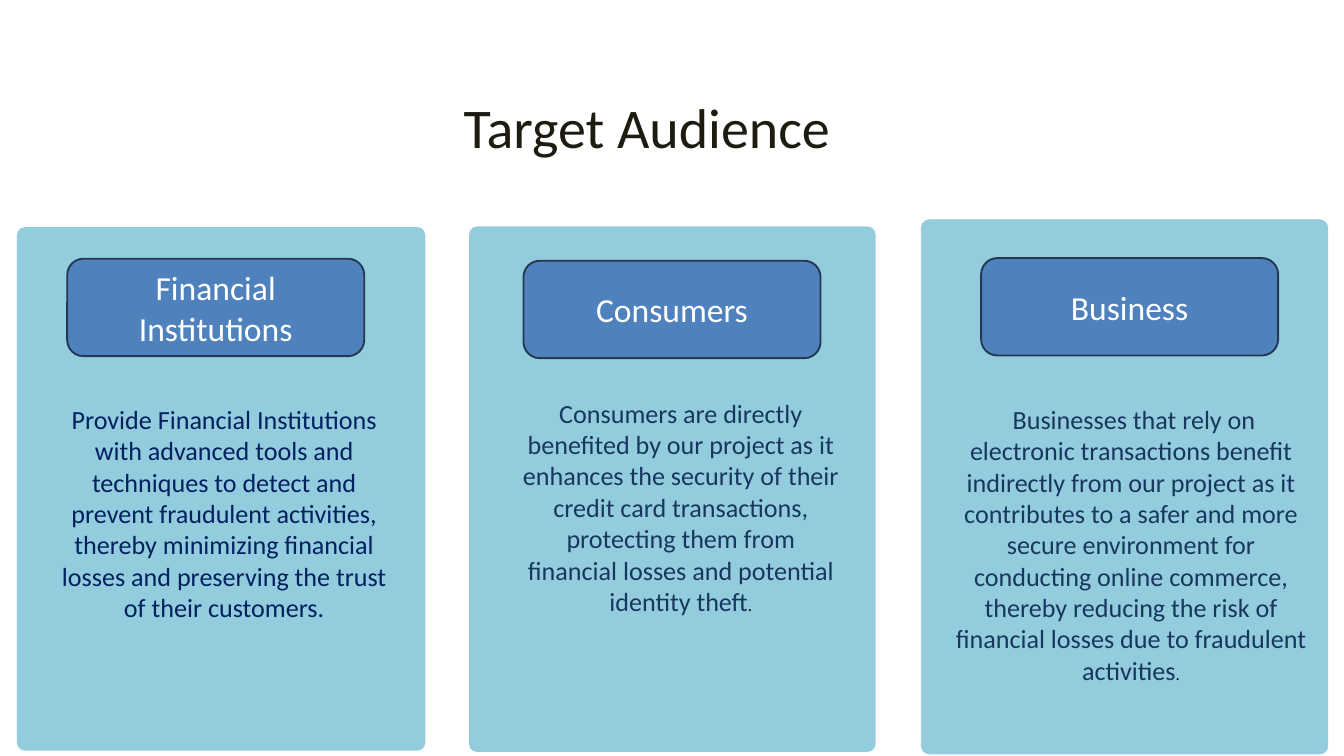
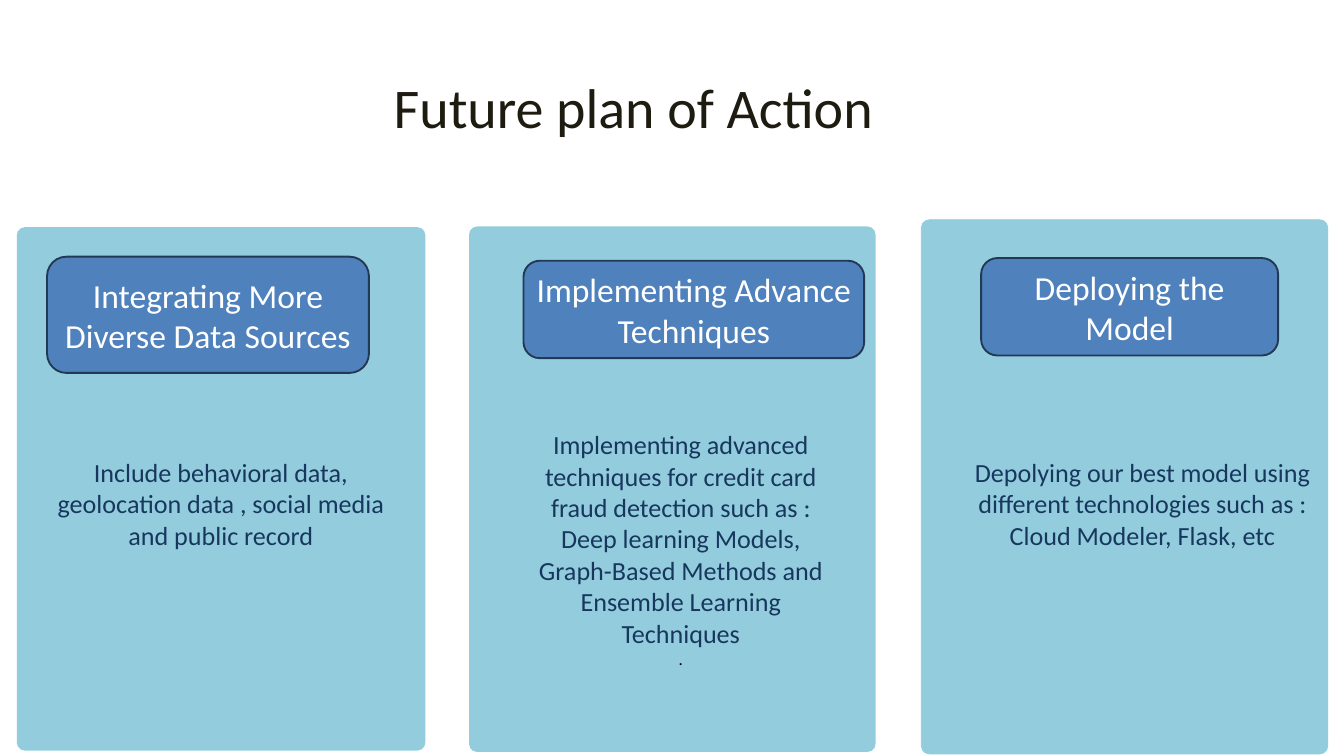
"""Build two three-column slides: target audience and future plan of action."""
from pptx import Presentation
from pptx.dml.color import RGBColor
from pptx.enum.shapes import MSO_SHAPE
from pptx.enum.text import MSO_ANCHOR, MSO_AUTO_SIZE, PP_ALIGN
from pptx.util import Inches, Pt

PANEL, LABEL, EDGE = "93CDDD", "4F81BD", "233953"
TITLE, NAVY, BLUE, WHITE, BLACK = "1E1C11", "002060", "17375E", "FFFFFF", "000000"
FONT = "Calibri"
LEFT, COL = 0.25, 6.73
PANELS = [(3.38, 6.08, 7.79), (3.37, 6.05, 7.82), (3.27, 6.05, 7.95)]


def paint(fmt, color):
    if hasattr(fmt, "solid"):
        fmt.solid()
        fmt = fmt.fore_color
    fmt.rgb = RGBColor.from_string(color)


def write(tf, text, size, color, anchor=MSO_ANCHOR.TOP):
    tf.word_wrap = True
    tf.auto_size = MSO_AUTO_SIZE.NONE
    tf.vertical_anchor = anchor
    for i, line in enumerate(text.split("\n")):
        p = tf.paragraphs[0] if i == 0 else tf.add_paragraph()
        p.alignment = PP_ALIGN.CENTER
        p.font.name, p.font.size = FONT, Pt(size)
        paint(p.font.color, color)
        main, _, stop = line.partition("|")
        if main:
            p.add_run().text = main
        if stop:
            r = p.add_run()
            r.text = stop
            r.font.size = Pt(18)
            paint(r.font.color, BLACK)


slides = [
    ("Target Audience", (3.5, 1.32), [
        ("Financial Institutions", (0.75, 3.85, 4.42, 1.45),
         "Provide Financial Institutions with advanced tools and techniques to detect "
         "and prevent fraudulent activities, thereby minimizing financial losses and "
         "preserving the trust of their customers.", (0.5, 5.95, 5.17, 3.4), NAVY),
        ("Consumers", (0.81, 3.88, 4.42, 1.45),
         "Consumers are directly benefited by our project as it enhances the security "
         "of their credit card transactions, protecting them from financial losses and "
         "potential identity theft|.", (0.69, 5.86, 4.92, 3.4), BLUE),
        ("Business", (0.89, 3.84, 4.42, 1.45),
         " Businesses that rely on electronic transactions benefit indirectly from our "
         "project as it contributes to a safer and more secure environment for "
         "conducting online commerce, thereby reducing the risk of financial losses "
         "due to fraudulent activities|.", (0.37, 5.95, 5.5, 4.34), BLUE),
    ]),
    ("Future plan of Action", (3.3, 1.03), [
        ("Integrating More Diverse Data Sources", (0.45, 3.82, 4.79, 1.73),
         "Include behavioral data, geolocation data , social media and public record",
         (0.45, 6.74, 5.17, 1.51), BLUE),
        ("Implementing Advance Techniques", (0.81, 3.88, 5.07, 1.45),
         "Implementing advanced techniques for credit card fraud detection such as : "
         "Deep learning Models, Graph-Based Methods and Ensemble Learning Techniques\n|.",
         (0.69, 6.33, 4.92, 3.7), BLUE),
        ("Deploying the Model", (0.89, 3.84, 4.42, 1.45),
         "Depolying our best model using different technologies such as : "
         "Cloud Modeler, Flask, etc", (0.54, 6.74, 5.5, 1.99), BLUE),
    ]),
]

prs = Presentation()
prs.slide_width, prs.slide_height = Inches(20), Inches(11.25)

for title, (x, y), columns in slides:
    s = prs.slides.add_slide(prs.slide_layouts[5])
    sp = s.shapes.title
    sp.left, sp.top, sp.width, sp.height = map(Inches, (x, y, 12.25, 1.11))
    write(sp.text_frame, title, 60, TITLE)

    for i, (top, width, height) in enumerate(PANELS):
        sp = s.shapes.add_shape(MSO_SHAPE.ROUNDED_RECTANGLE,
                                *map(Inches, (LEFT + i * COL, top, width, height)))
        sp.adjustments[0] = 0.02
        sp.shadow.inherit = False
        paint(sp.fill, PANEL)
        sp.line.fill.background()
    paint(sp.line.color, PANEL)
    sp.line.width = Pt(0.75)

    for i, (label, label_box, body, body_box, color) in enumerate(columns):
        left = LEFT + i * COL
        dx, *rest = label_box
        sp = s.shapes.add_shape(MSO_SHAPE.ROUNDED_RECTANGLE,
                                *map(Inches, (left + dx, *rest)))
        sp.shadow.inherit = False
        paint(sp.fill, LABEL)
        paint(sp.line.color, EDGE)
        sp.line.width = Pt(2)
        write(sp.text_frame, label, 36, WHITE, MSO_ANCHOR.MIDDLE)

        dx, *rest = body_box
        sp = s.shapes.add_textbox(*map(Inches, (left + dx, *rest)))
        write(sp.text_frame, body, 28, color)

prs.save("out.pptx")
